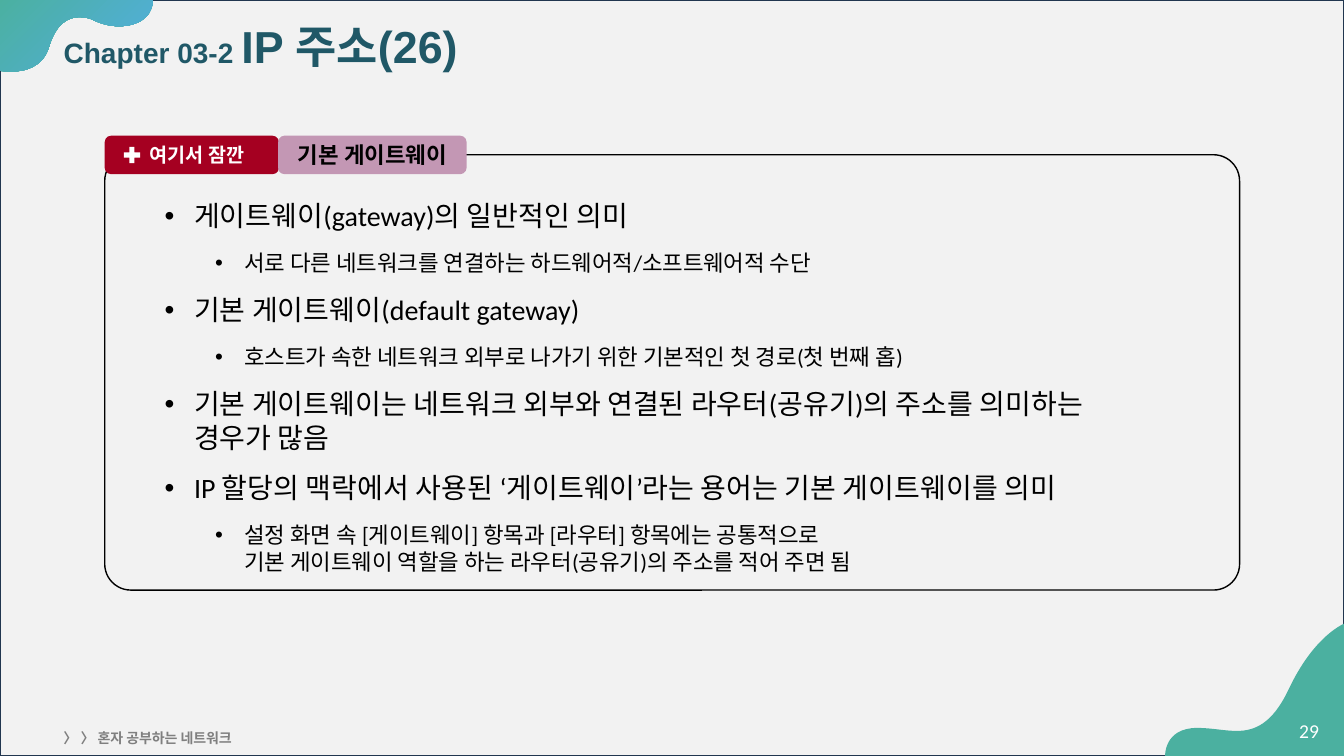
from collections import namedtuple
from dataclasses import dataclass

from lxml import etree
from pptx import Presentation
from pptx import util as u
from pptx.dml.color import RGBColor
from pptx.enum import shapes, text
from pptx.oxml import ns

Box = namedtuple("Box", "x y w h")
Kind = shapes.MSO_SHAPE
Side = text.PP_ALIGN
Hold = text.MSO_ANCHOR


@dataclass(frozen=True)
class Theme:
    """Colours, fonts and type sizes of the slide."""
    paper: str = "F2F2F2"
    edge: str = "21364F"
    green: str = "4BB0A0"
    blue: str = "52AEE1"
    teal: str = "205867"
    gray: str = "7F7F7F"
    red: str = "A50021"
    pink: str = "C397B4"
    black: str = "000000"
    white: str = "FFFFFF"
    head: str = "Arial"
    body: str = "Calibri"
    title: int = 32
    main: int = 20
    sub: int = 16
    small: int = 14
    foot: int = 10


T = Theme()

POINTS = [
    (0, "게이트웨이(gateway)의 일반적인 의미"),
    (1, "서로 다른 네트워크를 연결하는 하드웨어적/소프트웨어적 수단"),
    (0, "기본 게이트웨이(default gateway)"),
    (1, "호스트가 속한 네트워크 외부로 나가기 위한 기본적인 첫 경로(첫 번째 홉)"),
    (0, "기본 게이트웨이는 네트워크 외부와 연결된 라우터(공유기)의 주소를 의미하는\n경우가 많음"),
    (0, "IP 할당의 맥락에서 사용된 ‘게이트웨이’라는 용어는 기본 게이트웨이를 의미"),
    (1, "설정 화면 속 [게이트웨이] 항목과 [라우터] 항목에는 공통적으로\n"
        "기본 게이트웨이 역할을 하는 라우터(공유기)의 주소를 적어 주면 됨"),
]

CREST = [
    [(153, 0)], [(0, 0)], [(0, 72)],
    [(0, 72), (5, 73), (12, 73)],
    [(25, 73), (44, 69), (50, 48)],
    [(57, 25), (69, 19), (80, 19)],
    [(85, 19), (90, 20), (94, 22)],
    [(102, 26), (111, 28), (119, 28)],
    [(138, 28), (153, 19), (153, 0)],
]
WAVE = [
    [(181, 0)],
    [(181, 0), (150, 11), (124, 67)],
    [(108, 100), (91, 107), (73, 107)],
    [(61, 107), (48, 104), (34, 104)],
    [(0, 104), (2, 133), (2, 133)],
    [(181, 133)],
]


def color(code):
    """Turn a hex code into a colour."""
    return RGBColor.from_string(code)


def cms(box):
    """Give the four lengths of a box."""
    return [u.Cm(v) for v in box]


def inner(box, x, y, w, h):
    """Give a box whose corner is measured from another box."""
    return Box(box.x + x, box.y + y, w, h)


def write(par, words, size=T.main, ink=T.black, font=T.body, bold=False, east=None):
    """Add formatted words to a paragraph, breaking at newlines."""
    for i, line in enumerate(words.split("\n")):
        if i:
            par.add_line_break()
        run = par.add_run()
        run.text = line
        run.font.size, run.font.name, run.font.bold = u.Pt(size), font, bold
        run.font.color.rgb = color(ink)
        if east:
            etree.SubElement(run._r.get_or_add_rPr(), ns.qn("a:ea"), typeface=east)


def paint(shape, fill=None, line=None):
    """Set the fill and line of a shape and drop its shadow."""
    shape.shadow.inherit = False
    if fill:
        shape.fill.solid()
        shape.fill.fore_color.rgb = color(fill)
    else:
        shape.fill.background()
    if line:
        shape.line.color.rgb = color(line)
        shape.line.width = u.Pt(1)
    else:
        shape.line.fill.background()


def block(slide, box, kind=Kind.RECTANGLE, fill=None, line=None, bend=None):
    """Place a painted preset shape."""
    shape = slide.shapes.add_shape(kind, *cms(box))
    paint(shape, fill, line)
    if bend is not None:
        shape.adjustments[0] = bend
    return shape


def label(slide, box):
    """Place a wrapping text box and return its frame."""
    frame = slide.shapes.add_textbox(*cms(box)).text_frame
    frame.word_wrap = True
    return frame


def blob(slide, box, parts):
    """Draw a curved outline scaled to the width of its box."""
    ends = [part[-1] for part in parts]
    left = min(x for x, y in ends)
    unit = u.Cm(box.w) / max(x for x, y in ends)
    form = slide.shapes.build_freeform(*ends[0], scale=unit)
    form.add_line_segments(ends[1:])
    shape = form.convert_to_shape(u.Cm(box.x), u.Cm(box.y))
    for step, part in zip(list(shape.element.iter(ns.qn("a:lnTo"))), parts[1:]):
        if len(part) == 3:
            step.tag = ns.qn("a:cubicBezTo")
            for i, (x, y) in enumerate(part[:2]):
                step.insert(i, step.makeelement(ns.qn("a:pt"), x=str(x - left), y=str(y)))
    paint(shape, T.green)
    return shape


def scene(slide, box):
    """Draw the backdrop and its two corner shapes."""
    block(slide, box, fill=T.paper, line=T.edge)
    fill = blob(slide, inner(box, -0.03, -0.05, 3.89, 1.85), CREST).fill
    fill.gradient()
    fill.gradient_angle = 315
    for stop, code in zip(fill.gradient_stops, (T.green, T.blue)):
        stop.color.rgb = color(code)
    blob(slide, inner(box, 29.31, 15.7, 4.6, 3.38), WAVE)


def header(slide, box):
    """Place and write the title above the backdrop."""
    title = slide.shapes.title
    slide.shapes.element.append(title.element)
    title.left, title.top, title.width, title.height = cms(box)
    frame = title.text_frame
    frame.auto_size = text.MSO_AUTO_SIZE.NONE
    frame.vertical_anchor = Hold.MIDDLE
    par = frame.paragraphs[0]
    par.alignment, par.line_spacing = Side.LEFT, 0.9
    look = dict(ink=T.teal, font=T.head, bold=True)
    write(par, "Chapter 03-2 ", size=T.main, **look)
    write(par, "IP 주소(26)", size=T.title, **look)


def footer(slide, box):
    """Write the book name and the page number."""
    name = label(slide, inner(box, 0, 0.28, 11.43, 0.61))
    write(name.paragraphs[0], "〉 〉 혼자 공부하는 네트워크", size=T.foot, ink=T.gray,
          bold=True, east=T.body)
    page = label(slide, inner(box, box.w - 1.12, 0, 1.12, 1.02))
    write(page.paragraphs[0], "29", size=T.small, ink=T.white)


def bullet(par, level):
    """Give a paragraph a hanging bullet."""
    prop = par._p.get_or_add_pPr()
    prop.set("marL", str(u.Cm(0.74 + 1.27 * level)))
    prop.set("indent", str(u.Cm(-0.74)))
    tint = etree.SubElement(prop, ns.qn("a:buClr"))
    etree.SubElement(tint, ns.qn("a:srgbClr"), val=T.black)
    etree.SubElement(prop, ns.qn("a:buFont"), typeface=T.head)
    etree.SubElement(prop, ns.qn("a:buChar"), char="•")


def points(slide, box):
    """Write the two-level bullet list."""
    frame = label(slide, box)
    for i, (level, words) in enumerate(POINTS):
        par = frame.add_paragraph() if i else frame.paragraphs[0]
        bullet(par, level)
        if i:
            par.space_before = u.Pt(12)
        write(par, words, size=T.sub if level else T.main, east=T.body)


def tab(slide, box, words, fill, side=Side.CENTER, inset=0.25, **look):
    """Place a rounded tab with a bold label."""
    shape = block(slide, box, Kind.ROUNDED_RECTANGLE, fill)
    frame = shape.text_frame
    frame.margin_left, frame.vertical_anchor = u.Cm(inset), Hold.MIDDLE
    frame.paragraphs[0].alignment = side
    write(frame.paragraphs[0], words, bold=True, **look)


def card(slide, box):
    """Draw the framed note with its list and tabs."""
    points(slide, inner(box, 1.26, 0.98, 28.58, 10.01))
    block(slide, box, Kind.ROUNDED_RECTANGLE, line=T.black, bend=0.06)
    tab(slide, inner(box, 0, -0.48, 4.39, 0.97), "여기서 잠깐", T.red,
        side=Side.LEFT, inset=1.08, size=T.small, ink=T.white)
    tab(slide, inner(box, 4.37, -0.48, 4.75, 0.97), "기본 게이트웨이", T.pink, size=T.sub)
    block(slide, inner(box, 0.48, -0.2, 0.41, 0.41), Kind.CROSS, T.white, bend=0.34)


def main():
    """Build the slide and save it."""
    deck = Presentation()
    deck.slide_width, deck.slide_height = u.Cm(33.87), u.Cm(19.05)
    slide = deck.slides.add_slide(deck.slide_layouts[5])
    scene(slide, Box(0, 0, 33.87, 19.05))
    header(slide, Box(1.35, 0.3, 31.34, 1.85))
    footer(slide, Box(1.35, 17.98, 32.26, 1.02))
    card(slide, Box(2.64, 3.9, 28.6, 10.97))
    deck.save("out.pptx")


if __name__ == "__main__":
    main()
